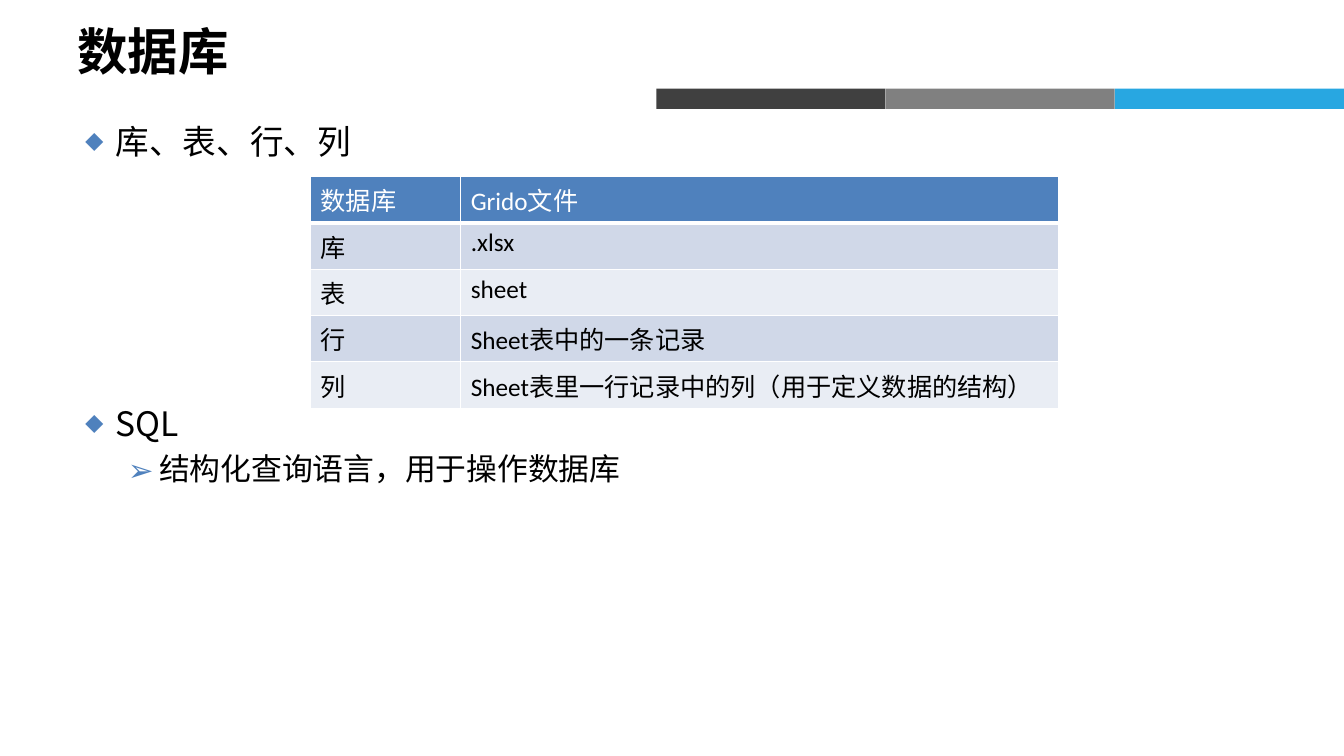
from lxml.etree import SubElement
from pptx import Presentation
from pptx.dml.color import RGBColor
from pptx.enum.shapes import MSO_SHAPE
from pptx.enum.text import MSO_ANCHOR
from pptx.oxml.ns import qn
from pptx.util import Inches, Pt

CJK_FONT = "Noto Sans CJK SC"
BLUE = "4F81BD"
WHITE = "FFFFFF"
BLACK = "000000"


def rgb(value):
    return RGBColor.from_string(value)


def write(paragraph, text, color=BLACK, **formats):
    run = paragraph.add_run()
    run.text = text
    for name, value in formats.items():
        setattr(run.font, name, value)
    run.font.color.rgb = rgb(color)
    SubElement(run.font._element, qn("a:ea"), typeface=CJK_FONT)


def add_text_frame(slide, left, top, width, height):
    box = slide.shapes.add_textbox(*map(Inches, (left, top, width, height)))
    box.text_frame.word_wrap = True
    return box.text_frame


def add_title(slide, left, top, width, height):
    frame = add_text_frame(slide, left, top, width, height)
    frame.vertical_anchor = MSO_ANCHOR.MIDDLE
    write(frame.paragraphs[0], "数据库", size=Pt(36), bold=True, name=CJK_FONT)


def add_color_bar(slide, left, top, width, height):
    colors = ["404040", "808080", "28A7E1"]
    step = width / len(colors)
    for index, color in enumerate(colors):
        band = slide.shapes.add_shape(
            MSO_SHAPE.RECTANGLE, Inches(left + index * step), Inches(top), Inches(step), Inches(height))
        band.shadow.inherit = False
        band.fill.solid()
        band.fill.fore_color.rgb = rgb(color)
        band.line.fill.background()


def set_bullet(paragraph, symbol, margin, hanging, percent):
    properties = paragraph._p.get_or_add_pPr()
    properties.set("marL", str(Inches(margin)))
    properties.set("indent", str(-Inches(hanging)))
    bullet_color = SubElement(properties, qn("a:buClr"))
    SubElement(bullet_color, qn("a:srgbClr"), val=BLUE)
    SubElement(properties, qn("a:buSzPct"), val=str(percent * 1000))
    SubElement(properties, qn("a:buFont"), typeface=CJK_FONT)
    SubElement(properties, qn("a:buChar"), char=symbol)


def add_body(slide, left, top, width, height):
    frame = add_text_frame(slide, left, top, width, height)
    points = [
        ("库、表、行、列", 0, 24, CJK_FONT, 0),
        ("SQL", 0, 24, CJK_FONT, 173),
        ("结构化查询语言，用于操作数据库", 1, 22, "Calibri", 4.4),
    ]
    bullets = [("◆", 0.38, 0.3, 55), ("➢", 0.81, 0.31, 100)]
    for index, (text, level, size, font, space) in enumerate(points):
        paragraph = frame.add_paragraph() if index else frame.paragraphs[0]
        paragraph.level = level
        paragraph.space_before = Pt(space)
        set_bullet(paragraph, *bullets[level])
        write(paragraph, text, size=Pt(size), name=font)


def set_borders(cell, widths):
    properties = cell._tc.get_or_add_tcPr()
    for side, width in widths.items():
        line = SubElement(properties, qn(f"a:ln{side}"), w=str(Pt(width)))
        fill = SubElement(line, qn("a:solidFill"))
        SubElement(fill, qn("a:srgbClr"), val=WHITE)


def add_comparison_table(slide, left, top, column_widths, row_height):
    rows = [
        ("数据库", "Grido文件"),
        ("库", ".xlsx"),
        ("表", "sheet"),
        ("行", "Sheet表中的一条记录"),
        ("列", "Sheet表里一行记录中的列（用于定义数据的结构）"),
    ]
    table = slide.shapes.add_table(
        len(rows), len(column_widths), Inches(left), Inches(top),
        Inches(sum(column_widths)), Inches(row_height * len(rows))).table
    for column, width in zip(table.columns, column_widths):
        column.width = Inches(width)
    for row_index, texts in enumerate(rows):
        table.rows[row_index].height = Inches(row_height)
        header = row_index == 0
        fill = BLUE if header else ("E9EDF4", "D0D8E8")[row_index % 2]
        borders = {"L": 1, "R": 1, "T": 1, "B": 3 if header else 1}
        for column_index, text in enumerate(texts):
            cell = table.cell(row_index, column_index)
            set_borders(cell, borders)
            cell.fill.solid()
            cell.fill.fore_color.rgb = rgb(fill)
            write(cell.text_frame.paragraphs[0], text, WHITE if header else BLACK,
                  size=Pt(18), bold=False, name="Calibri")


def build_slide(presentation):
    slide = presentation.slides.add_slide(presentation.slide_layouts[6])
    add_color_bar(slide, 6.51, 0.88, 6.82, 0.2)
    add_title(slide, 0.67, 0.18, 7.82, 0.64)
    add_body(slide, 0.67, 1.15, 12.2, 5.74)
    add_comparison_table(slide, 3.08, 1.75, [1.49, 5.93], 0.46)


def main():
    presentation = Presentation()
    presentation.slide_width = Inches(13.33)
    presentation.slide_height = Inches(7.5)
    build_slide(presentation)
    presentation.save("out.pptx")


if __name__ == "__main__":
    main()
